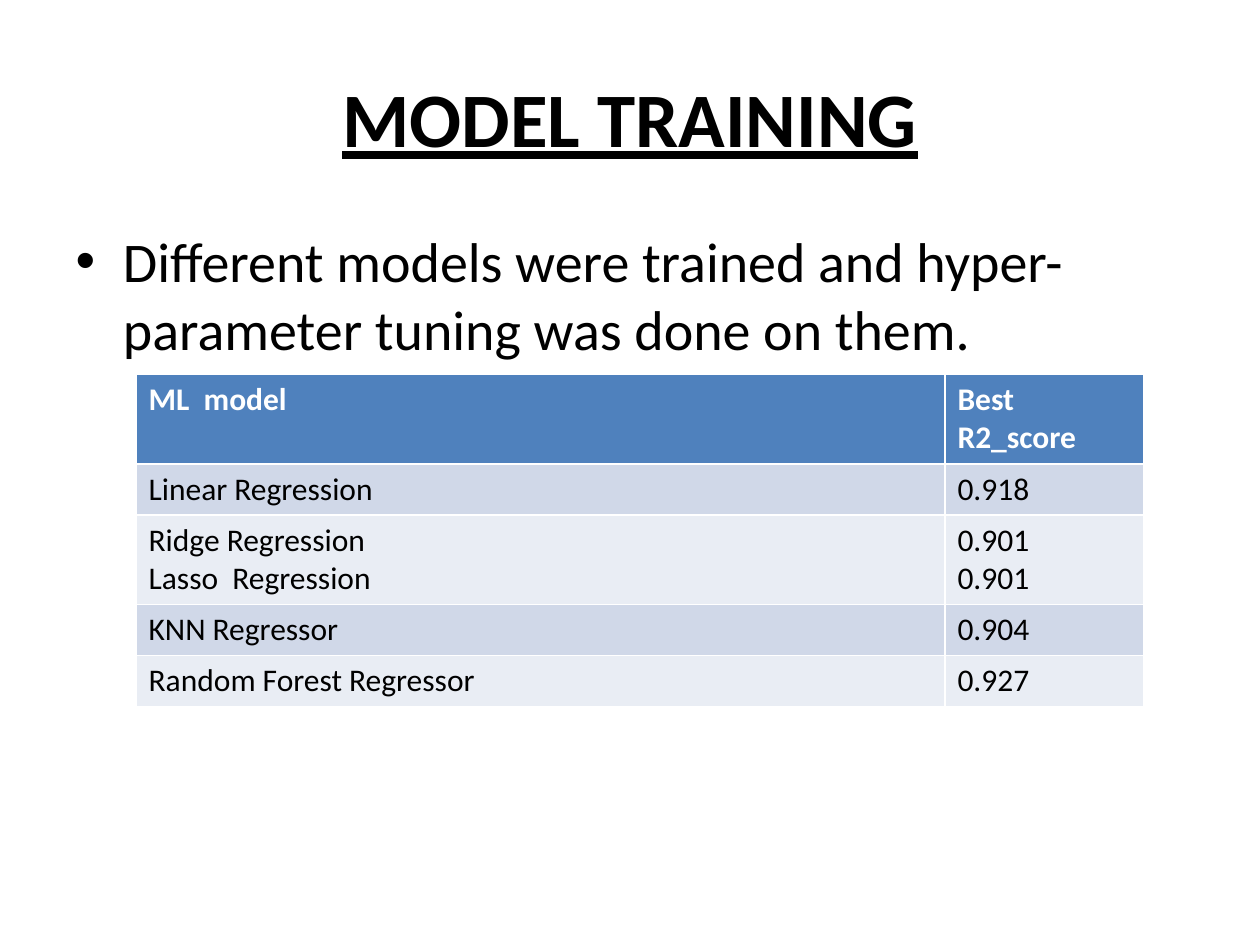
from pptx import Presentation
from pptx.dml.color import RGBColor
from pptx.enum.text import MSO_ANCHOR, PP_ALIGN
from pptx.util import Inches, Pt

FONT = "Calibri"
BLACK, WHITE = "000000", "FFFFFF"
HEADER_FILL = "4F81BD"
BAND_FILLS = ("D0D8E8", "E9EDF4")
SCORES = [
    ("ML  model", "Best R2_score"),
    ("Linear Regression", "0.918"),
    ("Ridge Regression\nLasso  Regression", "0.901\n0.901"),
    ("KNN Regressor", "0.904"),
    ("Random Forest Regressor", "0.927"),
]
COLUMN_WIDTHS = (6.42, 1.58)
ROW_HEIGHTS = (0.37, 0.37, 0.43, 0.37, 0.37)


def paint(target, color):
    """Give a fill or font color format the hex color."""
    target.rgb = RGBColor.from_string(color)


def style_text(frame, size, color, bold=False, underline=None):
    """Set the font of every paragraph in a text frame."""
    for paragraph in frame.paragraphs:
        font = paragraph.font
        font.name, font.size = FONT, Pt(size)
        font.bold, font.underline = bold, underline
        paint(font.color, color)


def place(region, box):
    """Move a placeholder to a box given in inches."""
    region.left, region.top, region.width, region.height = map(Inches, box)


def add_heading(slide, box, wording):
    """Fill the title placeholder with an underlined heading."""
    heading = slide.shapes.title
    place(heading, box)
    frame = heading.text_frame
    frame.text = wording
    frame.vertical_anchor = MSO_ANCHOR.MIDDLE
    frame.paragraphs[0].alignment = PP_ALIGN.CENTER
    style_text(frame, 44, BLACK, bold=True, underline=True)


def add_summary(slide, box, wording):
    """Fill the body placeholder with the bulleted summary."""
    summary = slide.placeholders[1]
    place(summary, box)
    summary.text_frame.text = wording
    style_text(summary.text_frame, 32, BLACK)


def add_scores(slide, box):
    """Add the table of models and their best scores."""
    scores = slide.shapes.add_table(
        len(SCORES), len(COLUMN_WIDTHS), *map(Inches, box)).table
    for column, width in zip(scores.columns, COLUMN_WIDTHS):
        column.width = Inches(width)
    for index, (row, height) in enumerate(zip(scores.rows, ROW_HEIGHTS)):
        row.height = Inches(height)
        header = index == 0
        fill = HEADER_FILL if header else BAND_FILLS[(index - 1) % 2]
        for cell, wording in zip(row.cells, SCORES[index]):
            cell.text = wording
            cell.fill.solid()
            paint(cell.fill.fore_color, fill)
            style_text(cell.text_frame, 18, WHITE if header else BLACK, header)


def main():
    """Build and save the model training slide."""
    deck = Presentation()
    deck.slide_width, deck.slide_height = Inches(10), Inches(7.5)
    slide = deck.slides.add_slide(deck.slide_layouts[1])
    add_heading(slide, (0.5, 0.3, 9, 1.25), "MODEL TRAINING")
    add_summary(slide, (0.5, 1.75, 9, 4.95),
                "Different models were trained and hyper-parameter tuning "
                "was done on them.")
    add_scores(slide, (1.08, 2.97, sum(COLUMN_WIDTHS), sum(ROW_HEIGHTS)))
    deck.save("out.pptx")


main()
